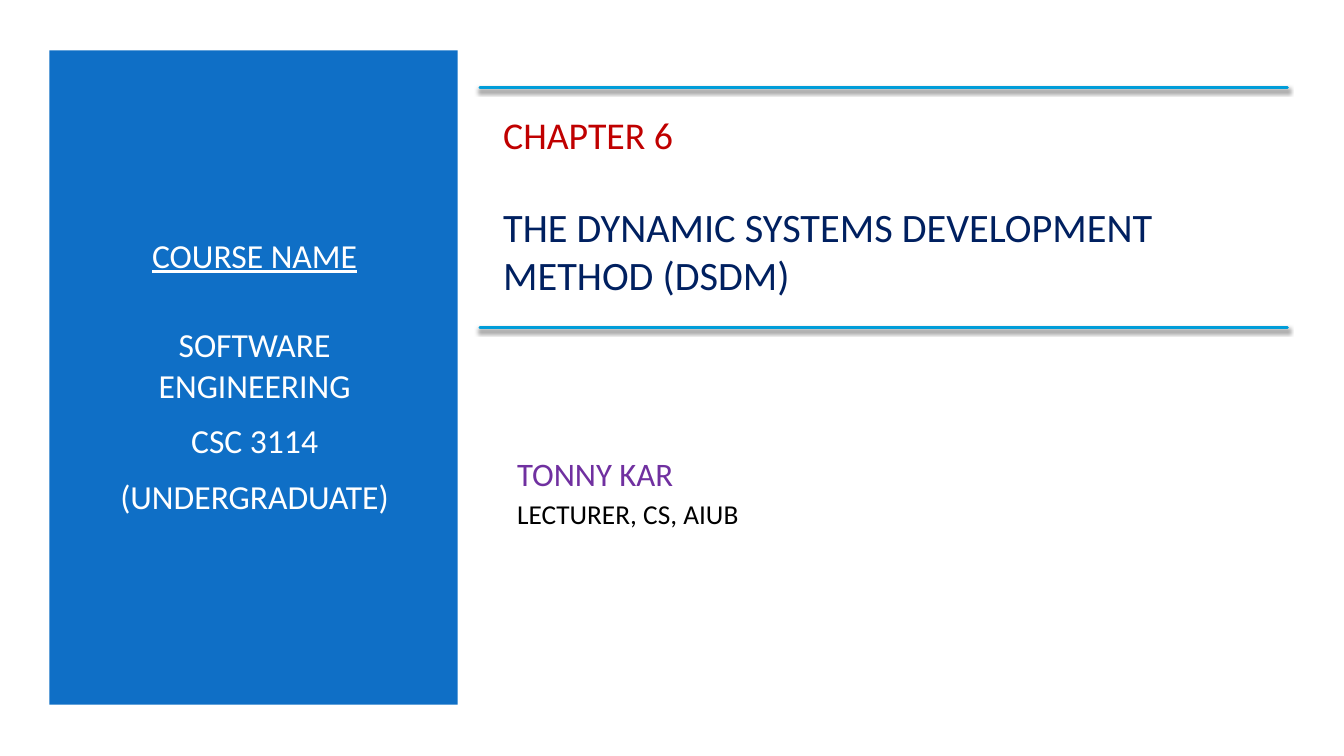
from lxml import etree
from pptx import Presentation
from pptx.dml.color import RGBColor
from pptx.enum.shapes import MSO_CONNECTOR, MSO_SHAPE
from pptx.enum.text import MSO_ANCHOR, MSO_AUTO_SIZE, PP_ALIGN
from pptx.oxml import parse_xml
from pptx.oxml.ns import nsdecls, qn
from pptx.util import Pt

PX = 9144  # EMU per px, 100 px to the inch
FONT = "Calibri"
WHITE = RGBColor(0xFF, 0xFF, 0xFF)
BLACK = RGBColor(0x00, 0x00, 0x00)
PANEL_BLUE = RGBColor(0x0F, 0x6F, 0xC6)
RULE_BLUE = RGBColor(0x00, 0x9D, 0xD9)
CHAPTER_RED = RGBColor(0xC0, 0x00, 0x00)
TOPIC_NAVY = RGBColor(0x00, 0x20, 0x60)
LECTURER_PURPLE = RGBColor(0x70, 0x30, 0xA0)
LEFT, CENTER = PP_ALIGN.LEFT, PP_ALIGN.CENTER
MIDDLE = MSO_ANCHOR.MIDDLE
NO_AUTOFIT = MSO_AUTO_SIZE.NONE
RECTANGLE = MSO_SHAPE.RECTANGLE
STRAIGHT = MSO_CONNECTOR.STRAIGHT


def emu(*lengths):
    return [length * PX for length in lengths]


def place(holder, box):
    holder.left, holder.top, holder.width, holder.height = emu(*box)


def write(holder, align, lines):
    """Each line is (text, size, colour, space before, space after)."""
    frame = holder.text_frame
    frame.word_wrap = True
    frame.auto_size = NO_AUTOFIT
    frame.vertical_anchor = MIDDLE
    for index, (text, size, colour, before, after) in enumerate(lines):
        line = frame.add_paragraph() if index else frame.paragraphs[0]
        line.alignment = align
        line.space_before, line.space_after = Pt(before), Pt(after)
        run = line.add_run()
        run.text = text
        run.font.name = FONT
        run.font.size = Pt(size)
        run.font.color.rgb = colour


def add_rule(slide, x, y, width):
    rule = slide.shapes.add_connector(STRAIGHT, *emu(x, y, x + width, y))
    rule.line.color.rgb = RULE_BLUE
    rule.line.width = Pt(2)
    rule.line._get_or_add_ln().set("cap", "rnd")
    effects = parse_xml(
        f'<a:effectLst {nsdecls("a")}>'
        f'<a:outerShdw blurRad="{Pt(3)}" dist="{Pt(2)}" dir="5400000" rotWithShape="0"/>'
        '</a:effectLst>')
    shade = etree.SubElement(effects[0], qn("a:srgbClr"), val="000000")
    etree.SubElement(shade, qn("a:alpha"), val="55000")
    rule._element.spPr.append(effects)


def course_panel(slide, box):
    x, y, width, height = box
    panel = slide.shapes.add_shape(RECTANGLE, *emu(*box))
    panel.shadow.inherit = False
    panel.fill.solid()
    panel.fill.fore_color.rgb = PANEL_BLUE
    panel.line.fill.background()
    # Send the panel behind the placeholders
    panel._element.getparent().insert(2, panel._element)

    course = slide.placeholders[1]
    place(course, (x + 35, y + 60, width - 68, height - 124))
    write(course, CENTER, [
        ("COURSE NAME", 24, WHITE, 0, 30),
        ("SOFTWARE ENGINEERING", 24, WHITE, 5, 6),
        ("CSC 3114", 24, WHITE, 5, 6),
        ("(UNDERGRADUATE)", 24, WHITE, 5, 6),
    ])
    course.text_frame.paragraphs[0].runs[0].font.underline = True


def chapter_heading(slide, box):
    x, y, width, height = box
    title = slide.shapes.title
    place(title, (x + 13, y + 23, width - 16, height - 51))
    write(title, LEFT, [
        ("CHAPTER 6", 27, CHAPTER_RED, 0, 32),
        ("THE DYNAMIC SYSTEMS DEVELOPMENT METHOD (DSDM)", 28.8, TOPIC_NAVY, 0, 0),
    ])
    for rule_y in (y, y + height):
        add_rule(slide, x, rule_y, width)


def lecturer_block(slide, box):
    lecturer = slide.shapes.add_textbox(*emu(*box))
    write(lecturer, LEFT, [
        ("TONNY KAR", 23.4, LECTURER_PURPLE, 0, 0),
        ("LECTURER, CS, AIUB", 19.5, BLACK, 3, 0),
    ])


def main():
    deck = Presentation()
    deck.slide_width, deck.slide_height = emu(1333, 750)
    slide = deck.slides.add_slide(deck.slide_layouts[0])
    slide.background.fill.solid()
    slide.background.fill.fore_color.rgb = WHITE

    course_panel(slide, (49, 50, 405, 649))
    chapter_heading(slide, (476, 87, 801, 238))
    lecturer_block(slide, (503, 410, 666, 156))
    deck.save("out.pptx")


if __name__ == "__main__":
    main()
